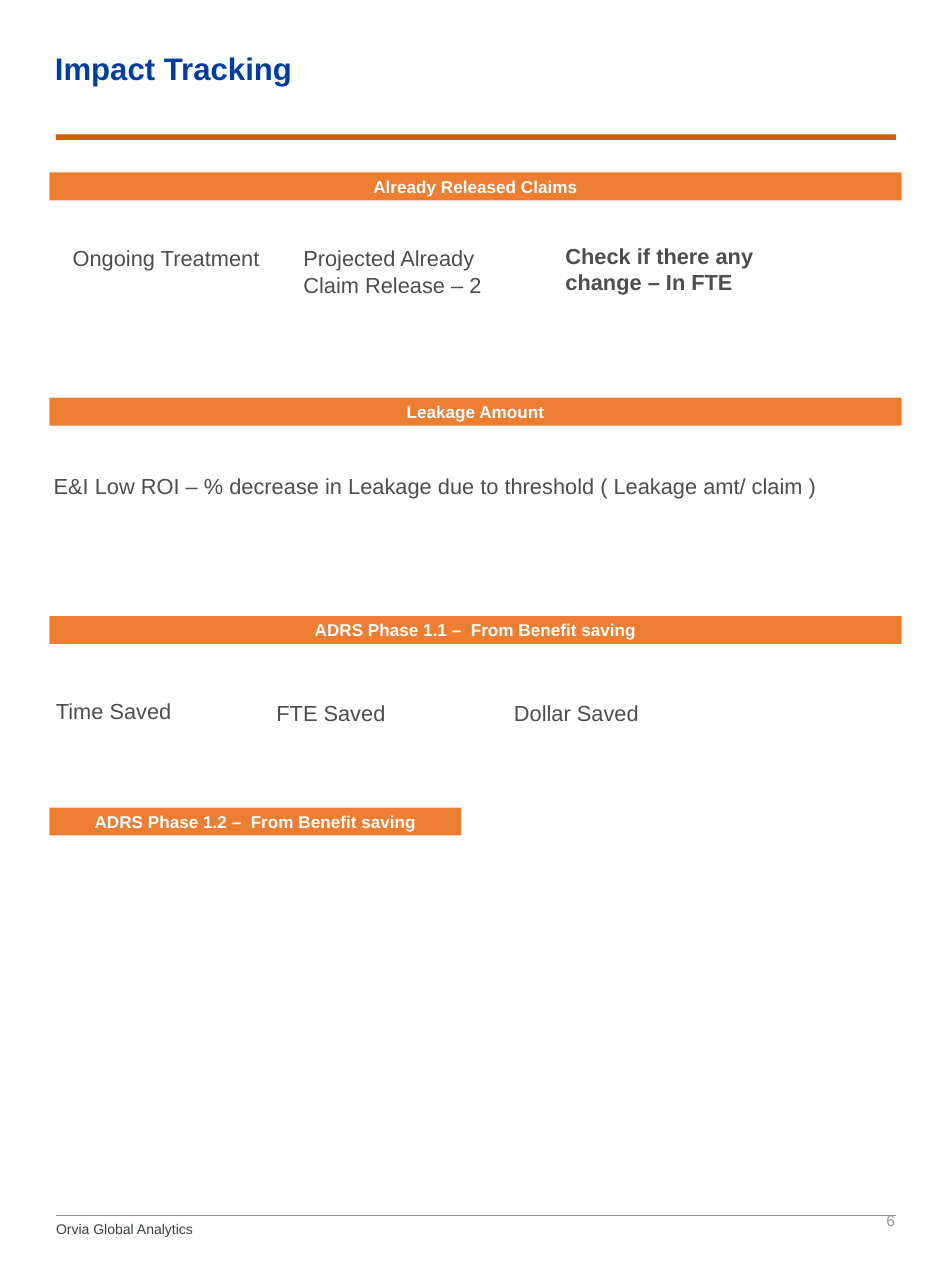
from pptx import Presentation
from pptx import util as u
from pptx.dml.color import RGBColor
from pptx.enum import shapes, text
from pptx.oxml.ns import qn
from lxml import etree

NAVY = RGBColor(0x00, 0x3D, 0xA1)
RUST = RGBColor(0xD4, 0x5D, 0x00)
ORANGE = RGBColor(0xED, 0x7D, 0x31)
WHITE = RGBColor(0xFF, 0xFF, 0xFF)
BODY_GRAY = RGBColor(0x4D, 0x4D, 0x4D)
FOOTER_GRAY = RGBColor(0x39, 0x3E, 0x41)
LINE_GRAY = RGBColor(0x8C, 0x95, 0x99)

MARGIN, CONTENT_WIDTH = 36, 540
BAR_LEFT, BAR_WIDTH, BAR_HEIGHT = 31.7, 547.9, 18
NOTE_WIDTH = 135.4

# top, width, heading
SECTIONS = [
    (110.9, BAR_WIDTH, "Already Released Claims"),
    (255.6, BAR_WIDTH, "Leakage Amount"),
    (396, BAR_WIDTH, "ADRS Phase 1.1 –  From Benefit saving"),
    (519.1, 265, "ADRS Phase 1.2 –  From Benefit saving"),
]
# left, top, width, height, wording, bold
NOTES = [
    (39.6, 154.1, NOTE_WIDTH, 24.5, "Ongoing Treatment", False),
    (187.9, 154.1, NOTE_WIDTH, 41, "Projected Already Claim Release – 2", False),
    (356.4, 152.6, NOTE_WIDTH, 41, "Check if there any change – In FTE", True),
    (27.4, 300.2, 534.2, 24.5,
     "E&I Low ROI – % decrease in Leakage due to threshold ( Leakage amt/ claim )", False),
    (28.8, 445, NOTE_WIDTH, 24.5, "Time Saved", False),
    (170.6, 446.4, NOTE_WIDTH, 24.5, "FTE Saved", False),
    (323.3, 446.4, NOTE_WIDTH, 24.5, "Dollar Saved", False),
]


def write(shape, wording, size, color, bold=False, align=text.PP_ALIGN.LEFT,
          anchor=text.MSO_ANCHOR.TOP, insets=(7.2, 3.6), after=0, font="Arial"):
    """Fill a shape with one paragraph; insets are (horizontal, vertical)."""
    frame = shape.text_frame
    frame.word_wrap = True
    frame.vertical_anchor = anchor
    frame.margin_left = frame.margin_right = u.Pt(insets[0])
    frame.margin_top = frame.margin_bottom = u.Pt(insets[1])
    para = frame.paragraphs[0]
    para.alignment = align
    para.space_after = u.Pt(after)
    span = para.add_run()
    span.text = wording
    span.font.name = font
    span.font.size = u.Pt(size)
    span.font.bold = bold
    span.font.color.rgb = color


class TrackingPage:
    def __init__(self, deck):
        self.page = deck.slides.add_slide(deck.slide_layouts[6])

    def bar(self, left, top, width, height, fill):
        box = self.page.shapes.add_shape(
            shapes.MSO_SHAPE.RECTANGLE, *map(u.Pt, (left, top, width, height)))
        box.shadow.inherit = False
        box.fill.solid()
        box.fill.fore_color.rgb = fill
        box.line.fill.background()
        return box

    def section(self, top, width, heading):
        box = self.bar(BAR_LEFT, top, width, BAR_HEIGHT, ORANGE)
        write(box, heading, 11, WHITE, bold=True, align=text.PP_ALIGN.CENTER,
              anchor=text.MSO_ANCHOR.MIDDLE)

    def label(self, left, top, width, height, wording, size, color, **style):
        box = self.page.shapes.add_textbox(*map(u.Pt, (left, top, width, height)))
        write(box, wording, size, color, **style)

    def rule(self, left, top, width, color, weight):
        line = self.page.shapes.add_connector(
            shapes.MSO_CONNECTOR.STRAIGHT, *map(u.Pt, (left, top, left + width, top)))
        line.line.color.rgb = color
        line.line.width = u.Pt(weight)
        etree.SubElement(line._element.spPr, qn("a:effectLst"))


def main():
    deck = Presentation()
    deck.slide_width, deck.slide_height = u.Pt(612), u.Pt(828)
    tracking = TrackingPage(deck)

    tracking.bar(MARGIN, 86.4, CONTENT_WIDTH, 3.6, RUST)
    tracking.label(MARGIN, 784.8, 428.4, 10.8, "Orvia Global Analytics", 9, FOOTER_GRAY,
                   anchor=text.MSO_ANCHOR.BOTTOM, insets=(0, 0))
    tracking.rule(MARGIN, 781.2, CONTENT_WIDTH, LINE_GRAY, 0.5)
    tracking.label(27.4, 18.7, 388.8, 49.7, "Impact Tracking", 20, NAVY, bold=True,
                   anchor=text.MSO_ANCHOR.MIDDLE, insets=(7.9, 4.3))
    tracking.label(504, 775.4, 71.3, 15.1, "6", 10, LINE_GRAY, align=text.PP_ALIGN.RIGHT,
                   anchor=text.MSO_ANCHOR.BOTTOM, insets=(0, 0))

    for section in SECTIONS:
        tracking.section(*section)
    for *place, wording, bold in NOTES:
        tracking.label(*place, wording, 14, BODY_GRAY, bold=bold, after=4)

    deck.save("out.pptx")


if __name__ == "__main__":
    main()
